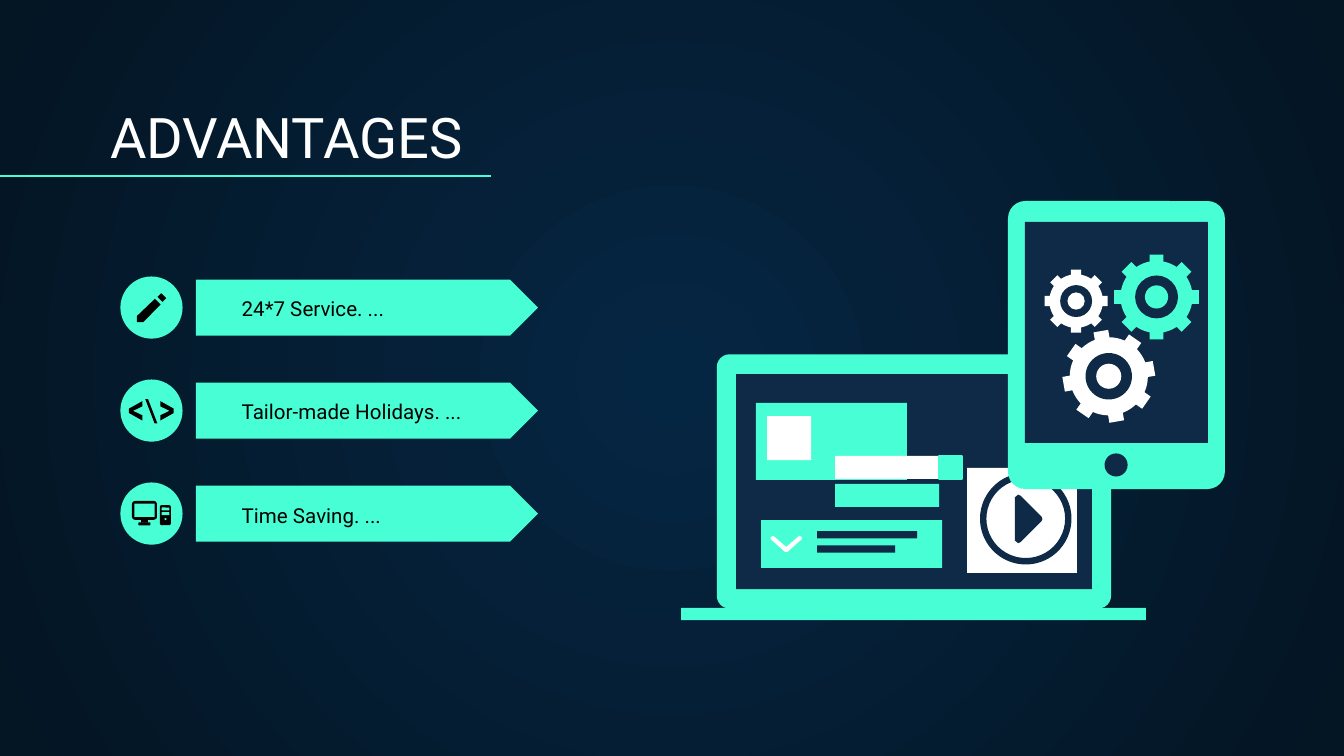
from math import asin, cos, pi, radians, sin

from pptx import Presentation
from pptx.dml.color import RGBColor
from pptx.enum.shapes import MSO_CONNECTOR as CONNECTOR, MSO_SHAPE as SHAPE
from pptx.enum.text import MSO_ANCHOR as ANCHOR, MSO_AUTO_SIZE as AUTO_SIZE, PP_ALIGN as ALIGN
from pptx.oxml import parse_xml
from pptx.oxml.ns import nsdecls
from pptx.util import Pt

MINT, NAVY, WHITE, BLACK = "48FFD5", "0E2A47", "FFFFFF", "000000"
FONT = "Roboto"
ADVANTAGES = ["24*7 Service. ...", "Tailor-made Holidays. ...", "Time Saving. ..."]
BADGE_LEFT, FIRST_ROW, ROW_PITCH = 64.5, 148.1, 55.2


def rgb(color):
    """Turn a hex string into a colour."""
    return RGBColor.from_string(color)


def paint(shape, color):
    """Give a shape a plain fill without outline or shadow."""
    shape.shadow.inherit = False
    shape.fill.solid()
    shape.fill.fore_color.rgb = rgb(color)
    shape.line.fill.background()
    return shape


def add_block(slide, kind, left, top, width, height, color, adjust=None):
    """Add a filled preset shape."""
    block = slide.shapes.add_shape(kind, Pt(left), Pt(top), Pt(width), Pt(height))
    if adjust is not None:
        block.adjustments[0] = adjust
    return paint(block, color)


def add_disc(slide, x, y, radius, color):
    """Add a circle around a centre."""
    return add_block(slide, SHAPE.OVAL, x - radius, y - radius, 2 * radius, 2 * radius, color)


def add_outline(slide, points, color, left=0, top=0):
    """Add a filled polygon, its points counted from left and top."""
    corners = [(Pt(left + x), Pt(top + y)) for x, y in points]
    builder = slide.shapes.build_freeform(*corners[0])
    builder.add_line_segments(corners[1:], close=True)
    return paint(builder.convert_to_shape(), color)


def add_gear(slide, x, y, radius, color, turn=0, teeth=8):
    """Add a gear wheel with square teeth, a ring and a hub."""
    body, half_tooth = 0.84 * radius, 0.16 * radius
    root, tip = asin(half_tooth / body), asin(half_tooth / radius)
    step = 2 * pi / teeth
    rim = []
    for tooth in range(teeth):
        axis = radians(turn) - pi / 2 + tooth * step
        profile = [(body, -root), (radius, -tip), (radius, tip), (body, root)]
        profile += [(body, root + (step - 2 * root) * part / 4) for part in (1, 2, 3)]
        rim += [(r * cos(axis + a), r * sin(axis + a)) for r, a in profile]
    add_outline(slide, rim, color, x, y)
    add_disc(slide, x, y, 0.5 * radius, NAVY)
    add_disc(slide, x, y, 0.27 * radius, color)


def write(box, text, size, color):
    """Set one bottom-anchored line of text in a box."""
    frame = box.text_frame
    frame.text = text
    frame.word_wrap = True
    frame.auto_size = AUTO_SIZE.NONE
    frame.vertical_anchor = ANCHOR.BOTTOM
    frame.margin_left = frame.margin_right = frame.margin_top = frame.margin_bottom = Pt(7.2)
    paragraph = frame.paragraphs[0]
    paragraph.alignment = ALIGN.LEFT
    paragraph.font.name, paragraph.font.size = FONT, Pt(size)
    paragraph.font.color.rgb = rgb(color)


def set_background(slide):
    """Fill the background with a circular gradient."""
    fill = slide.background.fill
    fill.gradient()
    for stop, color in zip(fill.gradient_stops, ("052643", "041523")):
        stop.color.rgb = rgb(color)
    linear = slide.element.xpath(".//a:gradFill/a:lin")[0]
    circle = parse_xml(
        f'<a:path {nsdecls("a")} path="circle">'
        '<a:fillToRect l="50000" t="50000" r="50000" b="50000"/></a:path>')
    linear.getparent().replace(linear, circle)


def add_heading(slide):
    """Place the title and the rule below it."""
    title = slide.shapes.title
    title.left, title.top, title.width, title.height = Pt(51.8), Pt(50.4), Pt(617), Pt(47.5)
    write(title, "ADVANTAGES", 30, WHITE)
    rule = slide.shapes.add_connector(CONNECTOR.STRAIGHT, Pt(0), Pt(94.3), Pt(263), Pt(94.3))
    rule.line.color.rgb = rgb(MINT)
    rule.line.width = Pt(0.75)
    rule._element.spPr.append(parse_xml(f'<a:effectLst {nsdecls("a")}/>'))


def add_pencil(slide, left, top):
    """Draw the pencil icon."""
    add_outline(slide, [(19.9, 11), (21.9, 9), (24.6, 11.7), (22.6, 13.7)], BLACK, left, top)
    add_outline(slide, [(18.5, 12), (21.6, 15), (12.3, 24.5), (8.9, 24.5), (8.9, 21.2)],
                BLACK, left, top)


def add_code(slide, left, top):
    """Draw the code icon."""
    bracket = [(11.8, 22), (4.6, 18), (4.6, 15.6), (11.8, 11.6),
               (11.8, 14.4), (6.8, 16.8), (11.8, 19.2)]
    slash = [(13.3, 10.5), (14.8, 10.5), (19.8, 23.5), (18.3, 23.5)]
    for glyph in (bracket, slash, [(33.2 - x, y) for x, y in bracket]):
        add_outline(slide, glyph, BLACK, left, top)


def add_computer(slide, left, top):
    """Draw the desktop computer icon."""
    for kind, x, y, width, height, color in [
        (SHAPE.ROUNDED_RECTANGLE, 6.2, 9.9, 13.4, 10.1, BLACK),
        (SHAPE.RECTANGLE, 7.5, 11.3, 10.8, 7.2, MINT),
        (SHAPE.RECTANGLE, 11.1, 19.9, 3.6, 1.7, BLACK),
        (SHAPE.ROUNDED_RECTANGLE, 9.7, 21.4, 6.4, 1.5, BLACK),
        (SHAPE.ROUNDED_RECTANGLE, 21.2, 12.1, 5.8, 10.8, BLACK),
        (SHAPE.ROUNDED_RECTANGLE, 22.1, 13.4, 4.1, 1.5, MINT),
        (SHAPE.ROUNDED_RECTANGLE, 22.1, 15.9, 4.1, 1.6, MINT),
        (SHAPE.OVAL, 23.6, 19, 1.1, 1.1, MINT),
    ]:
        add_block(slide, kind, left + x, top + y, width, height, color)


def add_advantage(slide, text, add_icon, top):
    """Add one row: round badge with icon, arrow plate and label."""
    add_block(slide, SHAPE.PENTAGON, 105, top + 1.7, 183.2, 30, MINT, 0.5)
    label = slide.shapes.add_textbox(Pt(122.4), Pt(top + 16), Pt(163.4), Pt(15.1))
    write(label, text, 11, BLACK)
    add_block(slide, SHAPE.OVAL, BADGE_LEFT, top, 33.3, 33.3, MINT)
    add_icon(slide, BADGE_LEFT, top)


def add_laptop(slide):
    """Draw the laptop with the page on its screen."""
    add_block(slide, SHAPE.ROUNDED_RECTANGLE, 384, 189.8, 211.2, 136.2, MINT, 0.05)
    for left, top, width, height, color in [
        (394.3, 200.4, 190.7, 115.2, NAVY),
        (364.9, 325.7, 249, 6.5, MINT),
        (405, 215.9, 80.9, 41.2, MINT),
        (410.9, 222.9, 23.6, 23.6, WHITE),
        (407.7, 278.6, 97, 25.7, MINT),
        (437.7, 284.5, 53.6, 4, NAVY),
        (437.7, 292.1, 41.8, 4, NAVY),
        (447.4, 259.3, 55.7, 12.3, MINT),
        (447.4, 244.3, 55.7, 12.3, WHITE),
        (518.1, 250.7, 58.9, 56.3, WHITE),
    ]:
        add_block(slide, SHAPE.RECTANGLE, left, top, width, height, color)
    button = add_block(slide, SHAPE.RECTANGLE, 503.1, 244.3, 12.3, 12.3, MINT)
    button.line.color.rgb = rgb(MINT)
    button.line.width = Pt(0.75)
    add_outline(slide, [(412.8, 287.8), (414.2, 287), (421.2, 293), (428.2, 287),
                        (429.6, 287.8), (429.4, 289), (421.8, 295.7), (420.6, 295.7),
                        (413, 289)], WHITE)
    add_block(slide, SHAPE.DONUT, 525, 253.4, 49, 49, NAVY, 0.07)
    add_outline(slide, [(543.7, 266.4), (545.4, 265), (546.8, 265.6), (558, 276.8),
                        (558.4, 278), (558, 279.2), (546.8, 290.4), (545.4, 291),
                        (543.7, 289.6)], NAVY)


def add_tablet(slide):
    """Draw the tablet with its three gears."""
    add_block(slide, SHAPE.ROUNDED_RECTANGLE, 540, 107.7, 116.2, 154.3, MINT, 0.08)
    add_block(slide, SHAPE.RECTANGLE, 549.1, 118.9, 98, 118.4, NAVY)
    add_disc(slide, 597.9, 249.1, 6.2, NAVY)
    add_gear(slide, 619.6, 159.1, 23, MINT)
    add_gear(slide, 576.5, 161.3, 17.1, WHITE)
    add_gear(slide, 594, 201.6, 24.9, WHITE, turn=-10)


def main():
    """Build the slide and save it."""
    deck = Presentation()
    deck.slide_width, deck.slide_height = Pt(720), Pt(405)
    slide = deck.slides.add_slide(deck.slide_layouts[5])
    set_background(slide)
    add_heading(slide)
    icons = (add_pencil, add_code, add_computer)
    for row, (text, add_icon) in enumerate(zip(ADVANTAGES, icons)):
        add_advantage(slide, text, add_icon, FIRST_ROW + row * ROW_PITCH)
    add_laptop(slide)
    add_tablet(slide)
    deck.save("out.pptx")


if __name__ == "__main__":
    main()
